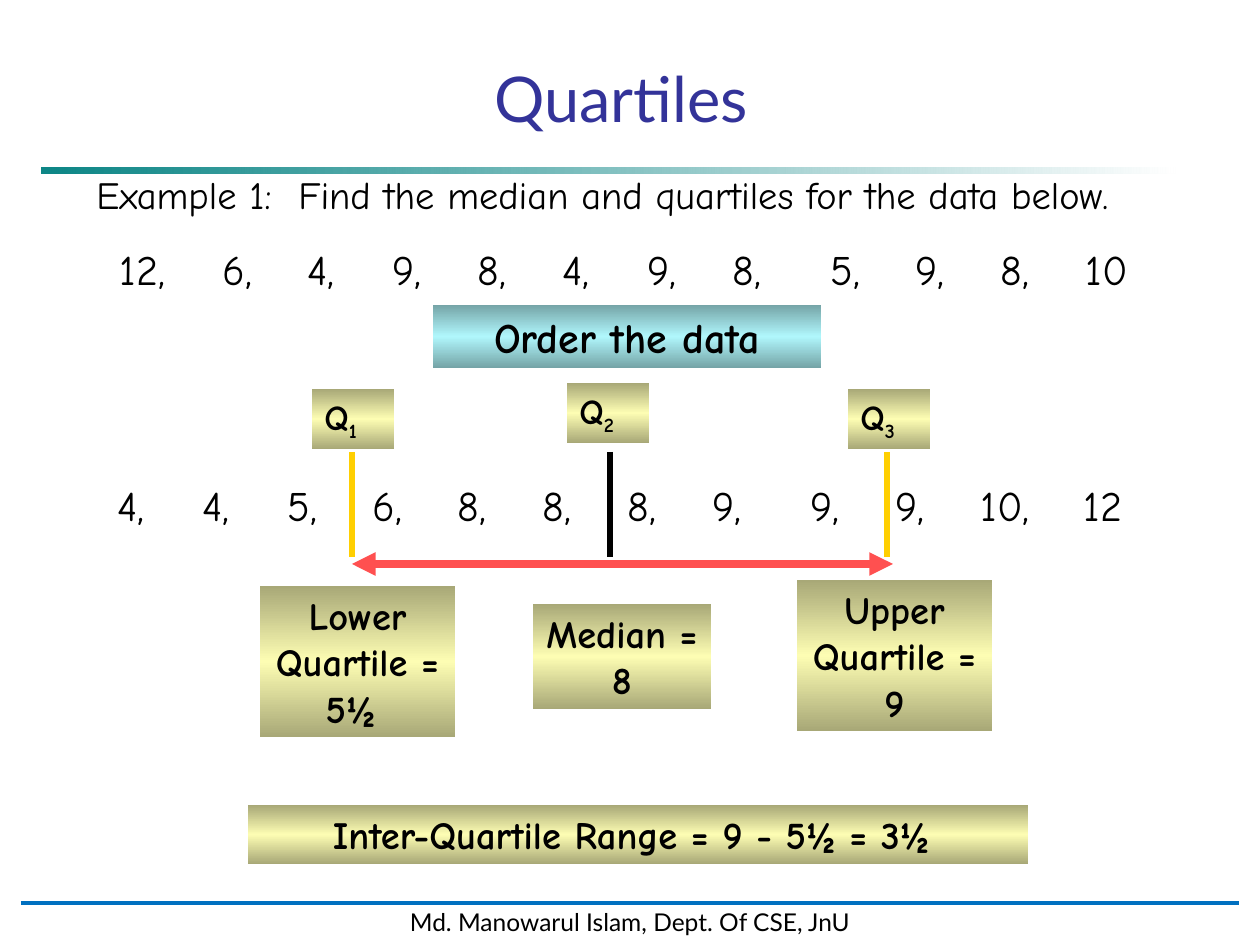
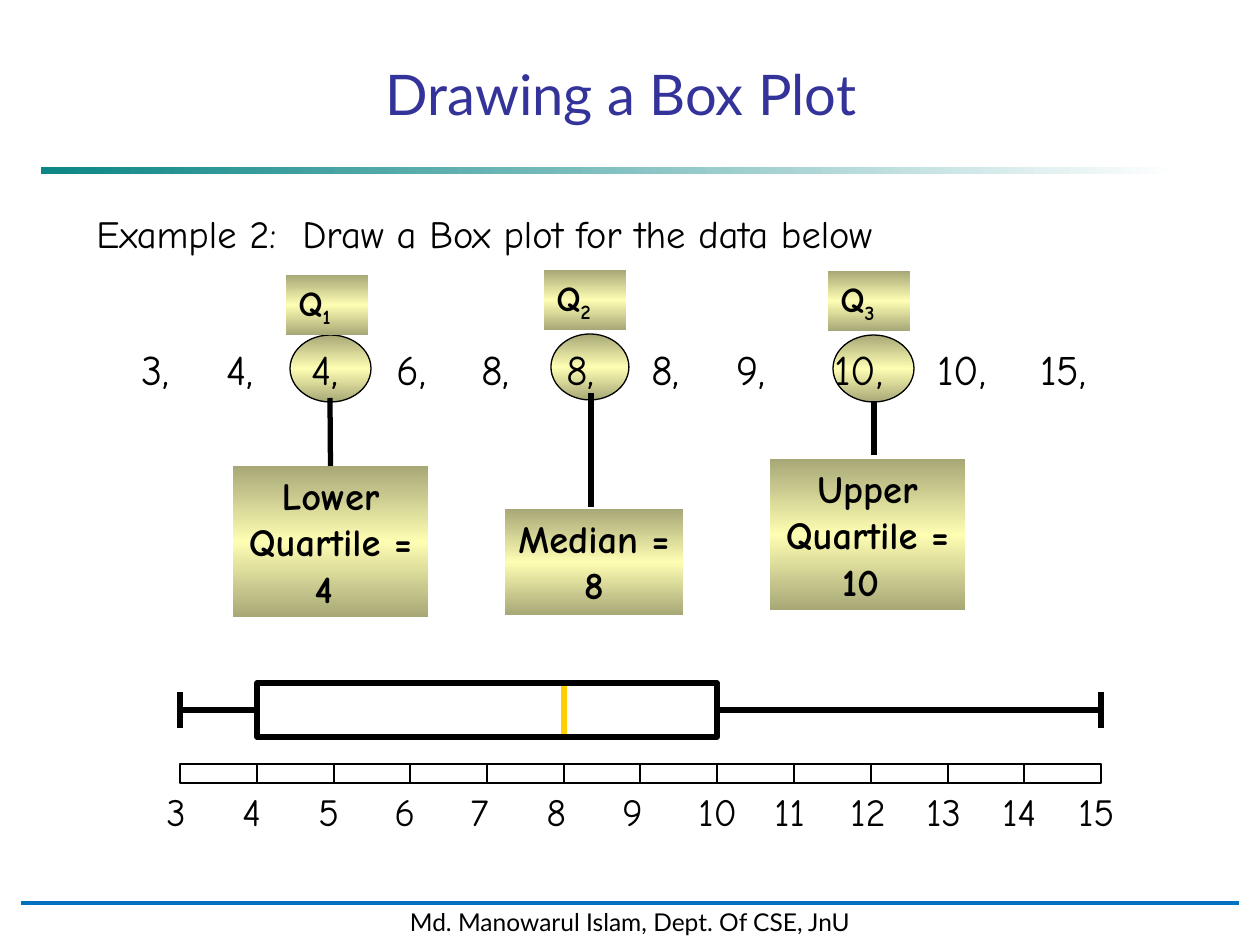
from typing import NamedTuple

from lxml import etree
from pptx import Presentation
from pptx.dml.color import RGBColor
from pptx.enum import shapes, text
from pptx.oxml import ns
from pptx.util import Pt

EMU_PER_PX = 914400 / 126
SLIDE_W, SLIDE_H = 1260, 945
INSET = 13

BLACK = RGBColor(0x00, 0x00, 0x00)
WHITE = RGBColor(0xFF, 0xFF, 0xFF)
TITLE_BLUE = RGBColor(0x33, 0x33, 0x99)
RULE_BLUE = RGBColor(0x00, 0x70, 0xC0)
TEAL = RGBColor(0x00, 0x80, 0x80)
OLIVE = RGBColor(0xA8, 0xA8, 0x77)
CREAM = RGBColor(0xFD, 0xFD, 0xB3)
DARK_AQUA = RGBColor(0x75, 0xA4, 0xA7)
AQUA = RGBColor(0xB0, 0xF7, 0xFC)
GOLD = RGBColor(0xFF, 0xCF, 0x01)
RED = RGBColor(0xFF, 0x50, 0x50)

GOLD_BAND = [(0, OLIVE, 100), (50, CREAM, 100), (100, OLIVE, 100)]
AQUA_BAND = [(0, DARK_AQUA, 100), (50, AQUA, 100), (100, DARK_AQUA, 100)]
TEAL_FADE = [(0, TEAL, 95), (100, WHITE, 100)]

HAND, SANS = "Comic Neue", "Lato"
RECT, OVAL = shapes.MSO_SHAPE.RECTANGLE, shapes.MSO_SHAPE.OVAL
LEFT, CENTER = text.PP_ALIGN.LEFT, text.PP_ALIGN.CENTER


class Box(NamedTuple):
    """A rectangle in px."""
    x: int
    y: int
    w: int
    h: int

    def within(self, x, y, w, h):
        """Return a box placed relative to this one."""
        return Box(self.x + x, self.y + y, w, h)


class Quartile(NamedTuple):
    """One quartile callout, measured from the corner of its Q label."""
    corner: tuple
    number: str
    answer: str
    answer_box: tuple
    stem: tuple
    color: RGBColor = BLACK
    ring: tuple = None


def px(length):
    """Turn px into EMU."""
    return round(length * EMU_PER_PX)


def sub(parent, tag, **attributes):
    """Add a drawing element with attributes."""
    return etree.SubElement(parent, ns.qn(tag), {k: str(v) for k, v in attributes.items()})


def write(shape, words, size, align=LEFT, font=HAND, color=BLACK, bold=False, tabs=(), wrap=True):
    """Write one paragraph into a shape and return it."""
    frame = shape.text_frame
    frame.word_wrap = wrap
    frame.vertical_anchor = text.MSO_ANCHOR.TOP
    paragraph = frame.paragraphs[0]
    paragraph.text = words
    paragraph.alignment = align
    if tabs:
        stops = sub(paragraph._p.get_or_add_pPr(), "a:tabLst")
        for stop in tabs:
            sub(stops, "a:tab", pos=px(stop), algn="l")
    paragraph.font.name = font
    paragraph.font.size = Pt(size)
    paragraph.font.bold = bold
    paragraph.font.color.rgb = color
    return paragraph


def label(slide, box, words, size, **style):
    """Add a text box."""
    write(slide.shapes.add_textbox(*map(px, box)), words, size, **style)


def panel(slide, box, stops=None, outline=None, width=0.75, kind=RECT, angle=90):
    """Add a preset shape with an optional gradient and outline."""
    shape = slide.shapes.add_shape(kind, *map(px, box))
    shape.shadow.inherit = False
    if stops:
        shape.fill.gradient()
        shape.fill.gradient_angle = angle
        gradient = shape._element.spPr.find(".//" + ns.qn("a:gsLst"))
        for old in list(gradient):
            gradient.remove(old)
        for place, color, opacity in stops:
            tone = sub(sub(gradient, "a:gs", pos=place * 1000), "a:srgbClr", val=color)
            if opacity < 100:
                sub(tone, "a:alpha", val=opacity * 1000)
    else:
        shape.fill.background()
    if outline is None:
        shape.line.fill.background()
    else:
        shape.line.color.rgb = outline
        shape.line.width = Pt(width)
    return shape


def rule(slide, x1, y1, x2, y2, color=BLACK, width=3.0, arrows=False):
    """Add a straight line, with arrowheads at both ends if asked."""
    line = slide.shapes.add_connector(shapes.MSO_CONNECTOR.STRAIGHT, *map(px, (x1, y1, x2, y2)))
    line.line.color.rgb = color
    line.line.width = Pt(width)
    if arrows:
        for end in ("a:headEnd", "a:tailEnd"):
            sub(line.line._get_or_add_ln(), end, type="triangle")
    sub(line._element.spPr, "a:effectLst")
    return line


def lecture_slide(deck, title, title_size):
    """Add a slide with the title, teal band and footer."""
    slide = deck.slides.add_slide(deck.slide_layouts[6])
    panel(slide, (42, 168, 1134, 6), TEAL_FADE, angle=0)
    footer = panel(slide, (21, 901, 1218, 42), outline=WHITE, width=2)
    footer.fill.solid()
    footer.fill.fore_color.rgb = WHITE
    write(footer, "Md. Manowarul Islam, Dept. Of CSE, JnU", 14, CENTER, SANS, wrap=False)
    rule(slide, 21, 903, 1239, 903, RULE_BLUE, 1.75)
    label(slide, (84, 53, 1074, 84), title, title_size,
          align=CENTER, font=SANS, color=TITLE_BLUE)
    return slide


def data_row(slide, box, values, end=""):
    """List values at tab stops, wider after two digits and after the eighth."""
    stops, place = [], 0
    for count, value in enumerate(values[:-1], 1):
        place += 85 + 18 * (value > 9) + 13 * (count == 8)
        stops.append(place)
    label(slide, box, ",\t".join(map(str, values)) + end, 24, tabs=stops)


def quartile_callout(slide, quartile):
    """Draw a Q label, its stem and its answer, with an optional ring."""
    box = Box(*quartile.corner, 82, 60)
    if quartile.ring:
        panel(slide, box.within(*quartile.ring), GOLD_BAND, BLACK, kind=OVAL)
    answer_box = box.within(*quartile.answer_box)
    answer = panel(slide, answer_box, GOLD_BAND)
    write(answer, quartile.answer, 22, CENTER, bold=True)
    stem_x, top, bottom = quartile.stem
    x = box.x + stem_x
    stem = rule(slide, x, box.y + top, x, box.y + bottom, quartile.color)
    middle = answer_box.x + answer_box.w / 2
    if abs(middle - x) < 1 and abs(answer_box.y - box.y - bottom) < 2:
        stem.end_connect(answer, 0)
    name = write(panel(slide, box, GOLD_BAND), "Q", 20, bold=True)
    index = name.add_run()
    index.text = quartile.number
    index.font._element.set("baseline", "-25000")


def box_plot(slide, box, low, lower, median, upper, high):
    """Draw a box plot above a numbered scale as wide as the box."""
    unit = box.w / (high - low)

    def at(value):
        """Return the position of a value on the scale."""
        return round(box.x + (value - low) * unit)

    middle = box.y + 27
    rule(slide, at(median), box.y + 54, at(median), box.y, GOLD)
    body = panel(slide, (at(lower), box.y, at(upper) - at(lower), 54), outline=BLACK, width=3)
    for extreme, quartile, side in ((low, lower, 1), (high, upper, 3)):
        whisker = rule(slide, at(extreme), middle, at(quartile), middle)
        whisker.end_connect(body, side)
        rule(slide, at(extreme), middle - 18, at(extreme), middle + 18)
    for value in range(low, high):
        panel(slide, (at(value), box.y + 81, at(value + 1) - at(value), 19), outline=BLACK)
    for value in range(low, high + 1):
        label(slide, box.within(76 * (value - low) - 26, 99, 84, 59), str(value), 22)


def quartiles_slide(deck):
    """Build the slide that finds the median and quartiles."""
    slide = lecture_slide(deck, "Quartiles", 36)
    data_row(slide, (107, 237, 1102, 63), [12, 6, 4, 9, 8, 4, 9, 8, 5, 9, 8, 10])
    data_row(slide, (105, 473, 1102, 63), [4, 4, 5, 6, 8, 8, 8, 9, 9, 9, 10, 12])
    order = panel(slide, (433, 305, 388, 63), AQUA_BAND)
    write(order, "Order the data", 24, CENTER, bold=True)
    rule(slide, 352, 564, 893, 564, RED, 4.5, arrows=True)
    spread = panel(slide, (248, 805, 780, 59), GOLD_BAND)
    write(spread, "Inter-Quartile Range = 9 - 5½ = 3½ ", 22, CENTER, bold=True)
    label(slide, (84, 165, 1137, 59),
          "Example 1:\tFind the median and quartiles for the data below.", 22, tabs=[202])
    for quartile in (
        Quartile((312, 389), "1", "Lower Quartile = 5½ ", (-52, 197, 195, 151), (40, 63, 168), GOLD),
        Quartile((848, 389), "3", "Upper Quartile = 9", (-51, 191, 195, 151), (39, 63, 168), GOLD),
        Quartile((567, 383), "2", "Median = 8", (-34, 221, 178, 105), (43, 69, 174)),
    ):
        quartile_callout(slide, quartile)


def box_plot_slide(deck):
    """Build the slide that draws a box plot."""
    slide = lecture_slide(deck, "Drawing a Box Plot", 32)
    for quartile in (
        Quartile((828, 271), "3", "Upper Quartile = 10 ", (-58, 188, 195, 151), (46, 130, 184),
                 ring=(5, 64, 81, 67)),
        Quartile((286, 275), "1", "Lower Quartile = 4 ", (-53, 191, 195, 151), (44, 123, 190),
                 ring=(4, 60, 81, 67)),
        Quartile((544, 270), "2", "Median = 8", (-39, 239, 178, 106), (47, 123, 237),
                 ring=(7, 64, 78, 66)),
    ):
        quartile_callout(slide, quartile)
    data_row(slide, (129, 337, 1023, 63), [3, 4, 4, 6, 8, 8, 8, 9, 10, 10, 15], end=",")
    label(slide, (84, 204, 1137, 59),
          "Example 2:\tDraw a Box plot for the data below", 22, tabs=[206])
    box_plot(slide, Box(180, 683, 921, 158), low=3, lower=4, median=8, upper=10, high=15)


def main():
    """Build both slides and save the deck."""
    deck = Presentation()
    deck.slide_width, deck.slide_height = px(SLIDE_W), px(SLIDE_H)
    quartiles_slide(deck)
    box_plot_slide(deck)
    deck.save("out.pptx")


if __name__ == "__main__":
    main()
